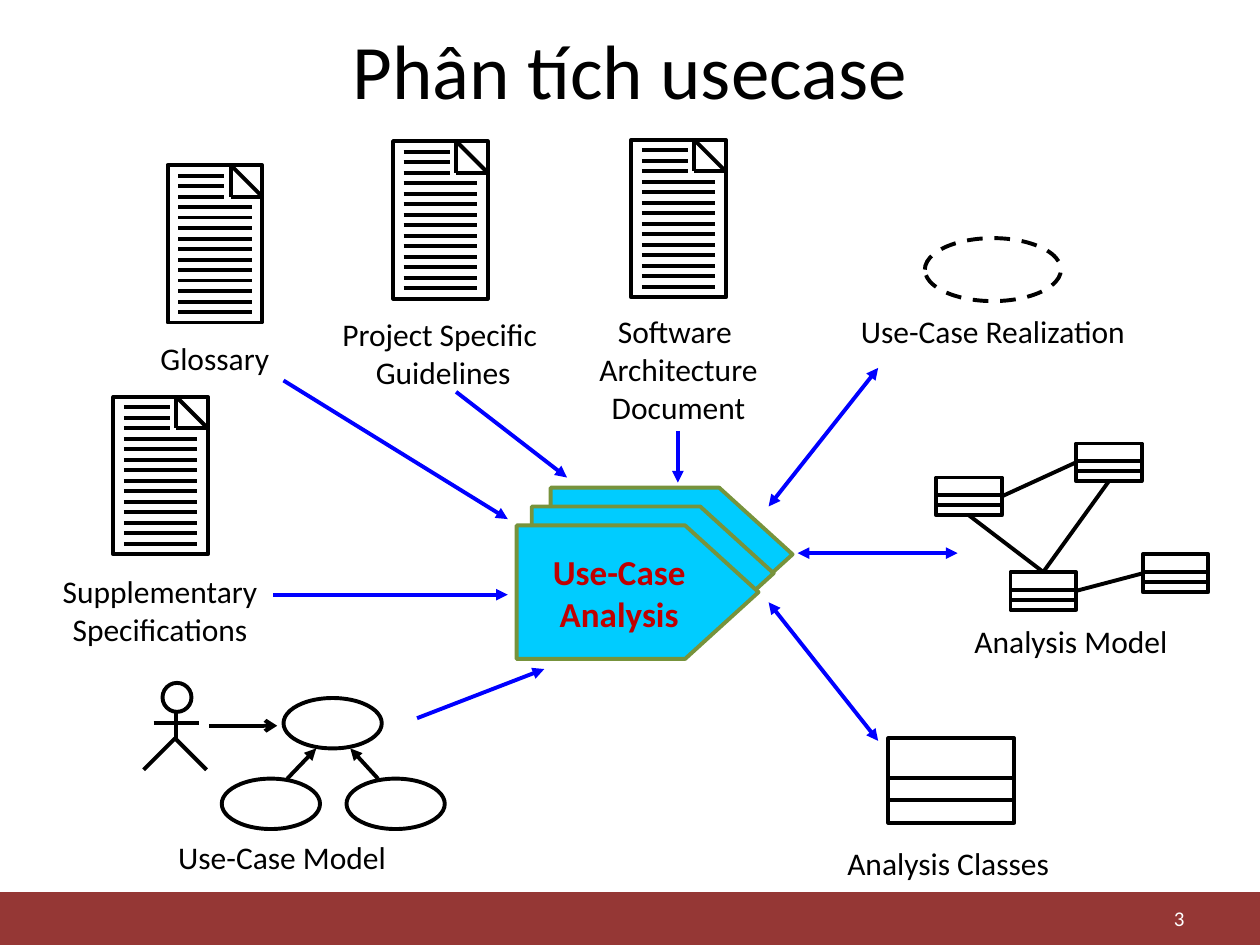
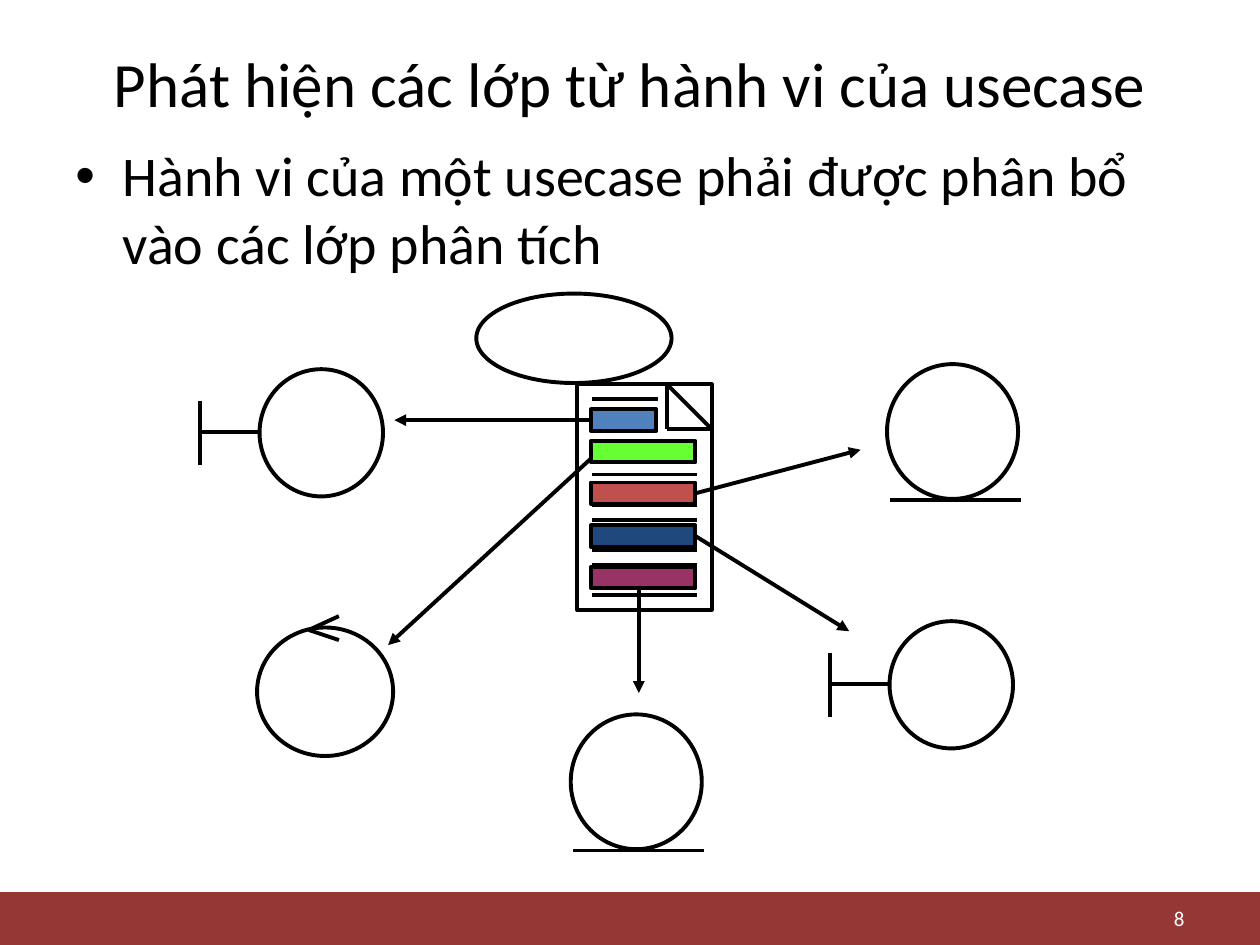
"""Build two slides on use-case analysis, laid out on a grid of 100 columns by 75 rows."""
from typing import NamedTuple, Optional

from lxml.etree import SubElement
from pptx import Presentation
from pptx.dml.color import RGBColor as Rgb
from pptx.enum.dml import MSO_LINE as Dash
from pptx.enum.shapes import MSO_CONNECTOR as Conn, MSO_SHAPE as Form
from pptx.enum.text import MSO_ANCHOR as Anchor, MSO_AUTO_SIZE as Auto, PP_ALIGN as Align
from pptx.oxml.ns import qn
from pptx.shapes.autoshape import Shape
from pptx.shapes.connector import Connector as Wire
from pptx.slide import Slide
from pptx.util import Inches, Pt

COLS, ROWS = 100, 75
WIDE, HIGH = Inches(10), Inches(7.5)
FONT = "Calibri"
STROKE = Pt(2.25)
TOP, LEFT, BOTTOM, RIGHT = 0, 1, 2, 3
HUES = {
    "black": "000000", "white": "FFFFFF", "band": "953735", "arrow": "0000FF",
    "step": "00CCFF", "rim": "77933C", "red": "C00000", "blue": "4F81BD",
    "green": "66FF33", "brick": "C0504D", "navy": "1F497D", "plum": "993366",
}


class Box(NamedTuple):
    """Hold left column, top row, width and height on the grid."""
    x: float
    y: float
    w: float
    h: float


class Point(NamedTuple):
    """Hold a column and a row on the grid."""
    x: float
    y: float


class Label(NamedTuple):
    """Hold a caption and its place."""
    text: str
    box: Box


class Arrow(NamedTuple):
    """Hold the ends of an arrow and whether it points both ways."""
    start: Point
    end: Point
    both: bool = False


class Bar(NamedTuple):
    """Hold the row, width and colour of a marked passage."""
    y: float
    w: float
    hue: str


PAPERS = [Point(9, 31.5), Point(13.3, 13.1), Point(31.2, 11.2), Point(50.1, 11.1)]
LABELS = [
    Label("Supplementary\nSpecifications", Box(3.3, 44.9, 18.8, 7)),
    Label("Glossary", Box(11.1, 26.4, 11.9, 4)),
    Label("Project Specific\n Guidelines", Box(25.3, 24.5, 19.2, 7)),
    Label("Software \nArchitecture\nDocument", Box(46.2, 24.3, 15.3, 10)),
    Label("Use-Case Realization", Box(65.7, 24.3, 26.2, 4)),
    Label("Analysis Model", Box(75.6, 48.9, 18.8, 4)),
    Label("Use-Case Model", Box(12.1, 66, 20.6, 4)),
    Label("Analysis Classes", Box(64.8, 66.5, 20.9, 4)),
]
ARROWS = [
    Arrow(Point(53.8, 34.2), Point(53.8, 38.3)),
    Arrow(Point(36.2, 31.1), Point(45, 37.9)),
    Arrow(Point(22.5, 30.2), Point(40.3, 41.2)),
    Arrow(Point(21.7, 47.2), Point(40.3, 47.2)),
    Arrow(Point(33.1, 57), Point(43.2, 53.1)),
    Arrow(Point(61, 40.2), Point(69.7, 29.2), True),
    Arrow(Point(63.3, 43.9), Point(76, 43.9), True),
    Arrow(Point(61, 47.8), Point(69.7, 58.8), True),
]
BARS = [Bar(32.5, 5.2, "blue"), Bar(35, 8.3, "green"), Bar(38.3, 8.3, "brick"),
        Bar(41.7, 8.3, "navy"), Bar(45, 8.3, "plum")]


def across(cols: float) -> int:
    """Turn columns into a length."""
    return round(cols * WIDE / COLS)


def down(rows: float) -> int:
    """Turn rows into a length."""
    return round(rows * HIGH / ROWS)


def place(box: Box) -> tuple[int, int, int, int]:
    """Turn a grid box into lengths."""
    return across(box.x), down(box.y), across(box.w), down(box.h)


def tint(name: str) -> Rgb:
    """Look up a colour."""
    return Rgb.from_string(HUES[name])


def style(item: Shape, fill: Optional[str], line: Optional[str]) -> Shape:
    """Set fill and outline and drop the shadow."""
    item.shadow.inherit = False
    if fill:
        item.fill.solid()
        item.fill.fore_color.rgb = tint(fill)
    else:
        item.fill.background()
    if line:
        item.line.color.rgb = tint(line)
        item.line.width = STROKE
    else:
        item.line.fill.background()
    return item


def shape(page: Slide, form: Form, box: Box, fill: Optional[str] = None,
          line: Optional[str] = "black") -> Shape:
    """Draw a preset shape."""
    return style(page.shapes.add_shape(form, *place(box)), fill, line)


def wire(page: Slide, start: Point, end: Point, hue: str = "black",
         head: str = "", tail: str = "") -> Wire:
    """Draw a straight line with optional arrowheads."""
    item = page.shapes.add_connector(Conn.STRAIGHT, across(start.x), down(start.y),
                                     across(end.x), down(end.y))
    item.line.color.rgb = tint(hue)
    item.line.width = STROKE
    props = item.element.spPr
    for tag, kind in (("a:headEnd", head), ("a:tailEnd", tail)):
        if kind:
            SubElement(props.find(qn("a:ln")), qn(tag), type=kind)
    SubElement(props, qn("a:effectLst"))
    return item


def write(item: Shape, text: str, size: float, hue: str = "black",
          align: Align = Align.CENTER, anchor: Anchor = Anchor.MIDDLE,
          wrap: bool = True, bold: bool = False) -> Shape:
    """Put formatted text into a shape."""
    frame = item.text_frame
    frame.text = text
    frame.word_wrap = wrap
    frame.vertical_anchor = anchor
    for para in frame.paragraphs:
        para.alignment = align
        for run in para.runs:
            run.font.name, run.font.size, run.font.bold = FONT, Pt(size), bold
            run.font.color.rgb = tint(hue)
    return item


def field(page: Slide, box: Box) -> Shape:
    """Add an empty text box."""
    return page.shapes.add_textbox(*place(box))


def start(deck: Presentation, title: str, box: Box, size: float, number: str) -> Slide:
    """Add a slide with title, bottom band and page number."""
    page = deck.slides.add_slide(deck.slide_layouts[6])
    shape(page, Form.RECTANGLE, Box(0, 70.8, COLS, 4.2), "band", None)
    write(field(page, box), title, size)
    write(field(page, Box(71.7, 71.5, 23.3, 2.7)), number, 12, "white", Align.RIGHT)
    return page


def paper(page: Slide, box: Box) -> None:
    """Draw a written sheet with a folded corner."""
    x, y, w, h = box
    shape(page, Form.RECTANGLE, box)
    tip, fold, edge = Point(x + w * 2 / 3, y), Point(x + w * 2 / 3, y + h / 5), Point(x + w, y + h / 5)
    for a, b in ((tip, edge), (tip, fold), (edge, fold)):
        wire(page, a, b)
    for row in range(1, 15):
        span = 0.6 if row < 4 else 8 / 9
        level = y + row * h / 15
        wire(page, Point(x + w / 9, level), Point(x + w * span, level))


def record(page: Slide, box: Box) -> Shape:
    """Draw a class box with three compartments."""
    item = shape(page, Form.RECTANGLE, box)
    for share in (0.47, 0.73):
        level = box.y + box.h * share
        wire(page, Point(box.x, level), Point(box.x + box.w, level))
    return item


def model(page: Slide) -> None:
    """Draw the four linked classes of the analysis model."""
    spots = (Point(74.3, 37.9), Point(85.4, 35.2), Point(80.2, 45.4), Point(90.7, 44))
    west, north, south, east = [record(page, Box(*spot, 5.2, 3)) for spot in spots]
    for a, out, b, into in ((south, TOP, west, BOTTOM), (west, RIGHT, north, LEFT),
                            (south, RIGHT, east, LEFT), (south, TOP, north, BOTTOM)):
        link = wire(page, Point(0, 0), Point(0, 0))
        link.begin_connect(a, out)
        link.end_connect(b, into)


def actor(page: Slide) -> None:
    """Draw the stick figure with its three use cases."""
    shape(page, Form.OVAL, Box(12.9, 54.2, 2.3, 2.3))
    wire(page, Point(14, 56.5), Point(14, 58.7))
    wire(page, Point(12.2, 57.4), Point(15.8, 57.4))
    pen = page.shapes.build_freeform(across(11.4), down(61.1))
    pen.add_line_segments([(across(13.9), down(58.6)), (across(16.4), down(61.1))], close=False)
    style(pen.convert_to_shape(), None, "black")
    for spot in (Point(22.5, 55.4), Point(17.6, 61.8), Point(27.5, 61.8)):
        shape(page, Form.OVAL, Box(*spot, 7.8, 4))
    wire(page, Point(16.6, 57.6), Point(22, 57.6), tail="arrow")
    wire(page, Point(22.8, 61.8), Point(25.1, 59.4), tail="triangle")
    wire(page, Point(30, 61.8), Point(27.8, 59.4), tail="triangle")


def steps(page: Slide) -> None:
    """Draw the stacked pentagons of the central activity."""
    for spot in (Point(43.7, 38.7), Point(42.2, 40.2), Point(41, 41.7)):
        item = shape(page, Form.PENTAGON, Box(*spot, 19.2, 10.6), "step", "rim")
        item.adjustments[0] = 0.55
    write(item, "Use-Case\nAnalysis", 20, "red", wrap=False, bold=True)


def inputs(deck: Presentation) -> None:
    """Build the slide on what goes into and out of the analysis."""
    page = start(deck, "Phân tích usecase", Box(5, 0.8, 90, 9.3), 44, "3")
    for spot in PAPERS:
        paper(page, Box(*spot, 7.5, 12.5))
    steps(page)
    cloud = shape(page, Form.OVAL, Box(73.4, 18.9, 10.8, 5))
    cloud.line.dash_style = Dash.DASH
    model(page)
    actor(page)
    record(page, Box(70.5, 58.6, 10, 6.7))
    for text, box in LABELS:
        item = write(field(page, box), text, 18, anchor=Anchor.TOP, wrap=False)
        item.text_frame.auto_size = Auto.SHAPE_TO_FIT_TEXT
    for a, b, both in ARROWS:
        wire(page, a, b, "arrow", "triangle" if both else "", "triangle")


def entry(page: Slide, x: float, y: float) -> None:
    """Draw an entity class: a circle on a base line."""
    shape(page, Form.OVAL, Box(x, y, 10.4, 10.7))
    wire(page, Point(x + 0.2, y + 10.8), Point(x + 10.6, y + 10.8))


def border(page: Slide, x: float, y: float) -> None:
    """Draw a boundary class: a circle with a stem and a bar."""
    shape(page, Form.OVAL, Box(x, y, 9.8, 10.1))
    wire(page, Point(x - 4.7, y + 2.5), Point(x - 4.7, y + 7.6))
    wire(page, Point(x - 4.7, y + 5), Point(x, y + 5))


def control(page: Slide, x: float, y: float) -> None:
    """Draw a control class: a circle with an arrow tip on top."""
    shape(page, Form.OVAL, Box(x, y, 10.8, 10.2))
    for rise in (-0.9, 1):
        wire(page, Point(x + 6.5, y + rise), Point(x + 4.1, y + 0.2))


def classes(deck: Presentation) -> None:
    """Build the slide on finding classes from behaviour."""
    page = start(deck, "Phát hiện các lớp từ hành vi của usecase", Box(5, 3, 90, 7), 36, "8")
    body = write(field(page, Box(5, 10.7, 90, 56.3)),
                 "Hành vi của một usecase phải được phân bổ vào các lớp phân tích",
                 32, align=Align.LEFT, anchor=Anchor.TOP)
    para = body.text_frame.paragraphs[0]
    para.space_before = Pt(6.4)
    props = para._p.get_or_add_pPr()
    props.set("marL", str(across(3.75)))
    props.set("indent", str(-across(3.75)))
    SubElement(props, qn("a:buFont"), typeface="Arial")
    SubElement(props, qn("a:buChar"), char="•")

    shape(page, Form.OVAL, Box(37.8, 23.3, 15.5, 7.1))
    paper(page, Box(45.8, 30.5, 10.7, 17.9))
    blue, _, brick, navy, _ = [shape(page, Form.RECTANGLE, Box(46.9, bar.y, bar.w, 1.7), bar.hue)
                               for bar in BARS]
    for item, side, end in ((blue, LEFT, Point(31.3, 33.35)), (brick, RIGHT, Point(68.3, 35.7)),
                            (navy, RIGHT, Point(67.4, 50.1))):
        wire(page, end, end, tail="triangle").begin_connect(item, side)
    wire(page, Point(46.9, 36.4), Point(30.8, 51.2), tail="triangle")
    wire(page, Point(50.7, 46.7), Point(50.7, 55), tail="triangle")

    entry(page, 70.4, 28.9)
    entry(page, 45.3, 56.7)
    border(page, 20.6, 29.3)
    border(page, 70.6, 49.3)
    control(page, 20.4, 49.8)


def main() -> None:
    """Build and save the deck."""
    deck = Presentation()
    deck.slide_width, deck.slide_height = WIDE, HIGH
    inputs(deck)
    classes(deck)
    deck.save("out.pptx")


if __name__ == "__main__":
    main()
